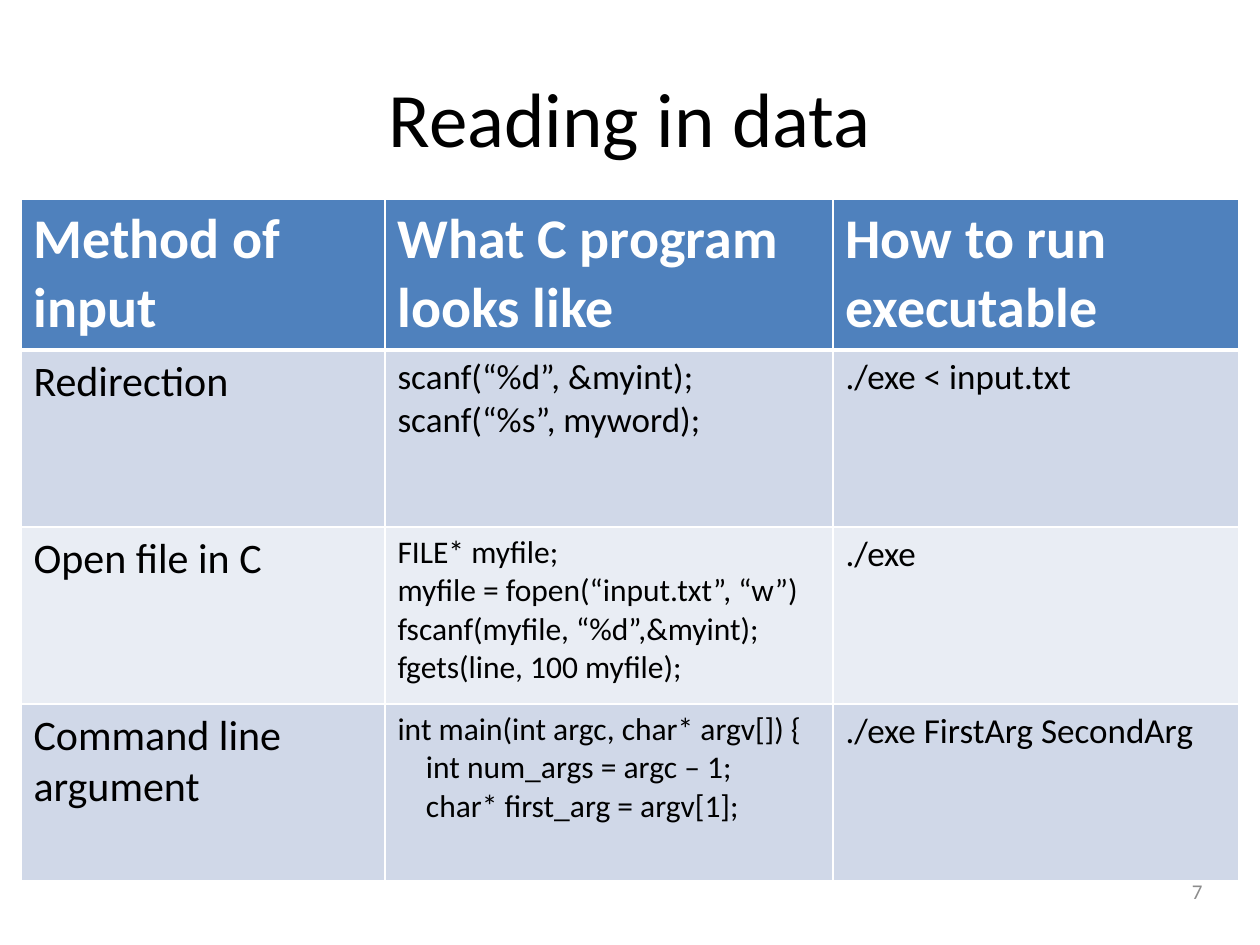
from lxml import etree
from pptx import Presentation
from pptx import util as u
from pptx.dml.color import RGBColor
from pptx.enum import text
from pptx.oxml import ns

BLACK = RGBColor(0x00, 0x00, 0x00)
WHITE = RGBColor(0xFF, 0xFF, 0xFF)
GREY = RGBColor(0x8C, 0x8C, 0x8C)
HEADER = RGBColor(0x4F, 0x81, 0xBD)
BANDS = [RGBColor(0xD0, 0xD8, 0xE8), RGBColor(0xE9, 0xED, 0xF4)]
EMU_PER_INCH = 914400
PX_PER_INCH = 126

HEADINGS = ["Method of input", "What C program looks like", "How to run executable"]
METHODS = [
    ("Redirection", 20, "scanf(“%d”, &myint);\nscanf(“%s”, myword);", "./exe < input.txt"),
    ("Open file in C", 18,
     "FILE* myfile;\nmyfile = fopen(“input.txt”, “w”)\n"
     "fscanf(myfile, “%d”,&myint);\nfgets(line, 100 myfile);", "./exe"),
    ("Command line argument", 18,
     "int main(int argc, char* argv[]) {\n    int num_args = argc – 1;\n"
     "    char* first_arg = argv[1];", "./exe FirstArg SecondArg"),
]


def px(n):
    return u.Emu(round(n * EMU_PER_INCH / PX_PER_INCH))


def write(tf, content, size, color=BLACK, bold=False, align=text.PP_ALIGN.LEFT,
          font="Calibri"):
    for i, line in enumerate(content.split("\n")):
        p = tf.paragraphs[0] if i == 0 else tf.add_paragraph()
        p.alignment = align
        r = p.add_run()
        r.text = line
        r.font.name = font
        r.font.size = u.Pt(size)
        r.font.bold = bold
        r.font.color.rgb = color


def add_border(cell, side, width, color=WHITE):
    tcPr = cell._tc.get_or_add_tcPr()
    ln = etree.SubElement(tcPr, ns.qn(f"a:ln{side}"), w=str(u.Pt(width)))
    fill = etree.SubElement(ln, ns.qn("a:solidFill"))
    etree.SubElement(fill, ns.qn("a:srgbClr"), val=str(color))


class Deck:
    def __init__(self, width, height):
        self.prs = Presentation()
        self.prs.slide_width = px(width)
        self.prs.slide_height = px(height)
        self.s = self.prs.slides.add_slide(self.prs.slide_layouts[5])

    def title(self, content, x, y, w, h):
        sp = self.s.shapes.title
        sp.left, sp.top, sp.width, sp.height = map(px, (x, y, w, h))
        sp.text_frame.vertical_anchor = text.MSO_ANCHOR.MIDDLE
        write(sp.text_frame, content, 44, align=text.PP_ALIGN.CENTER)

    def label(self, content, x, y, w, h, **style):
        tf = self.s.shapes.add_textbox(*map(px, (x, y, w, h))).text_frame
        tf.word_wrap = True
        tf.vertical_anchor = text.MSO_ANCHOR.MIDDLE
        write(tf, content, **style)

    def table(self, x, y, widths, heights):
        frame = self.s.shapes.add_table(
            len(heights), len(widths), *map(px, (x, y, sum(widths), sum(heights))))
        for column, width in zip(frame.table.columns, widths):
            column.width = px(width)
        for row, height in zip(frame.table.rows, heights):
            row.height = px(height)
        return frame.table

    def row(self, table, index, contents, sizes, fill, **style):
        for cell, content, size in zip(table.rows[index].cells, contents, sizes):
            for side in "LRTB":
                thick = (index, side) in ((0, "B"), (1, "T"))
                add_border(cell, side, 3 if thick else 1)
            cell.fill.solid()
            cell.fill.fore_color.rgb = fill
            write(cell.text_frame, content, size, **style)


def main():
    deck = Deck(1260, 945)
    deck.title("Reading in data", 63, 38, 1134, 157)
    deck.label("7", 921, 866, 294, 50, size=12, color=GREY, align=text.PP_ALIGN.RIGHT)
    table = deck.table(21, 199, [364, 448, 406], [151] + [177] * len(METHODS))
    deck.row(table, 0, HEADINGS, [32] * 3, HEADER, color=WHITE, bold=True)
    for i, (method, code_size, code, command) in enumerate(METHODS):
        deck.row(table, i + 1, [method, code, command], [24, code_size, 20],
                 BANDS[i % 2])
    deck.prs.save("out.pptx")


if __name__ == "__main__":
    main()
